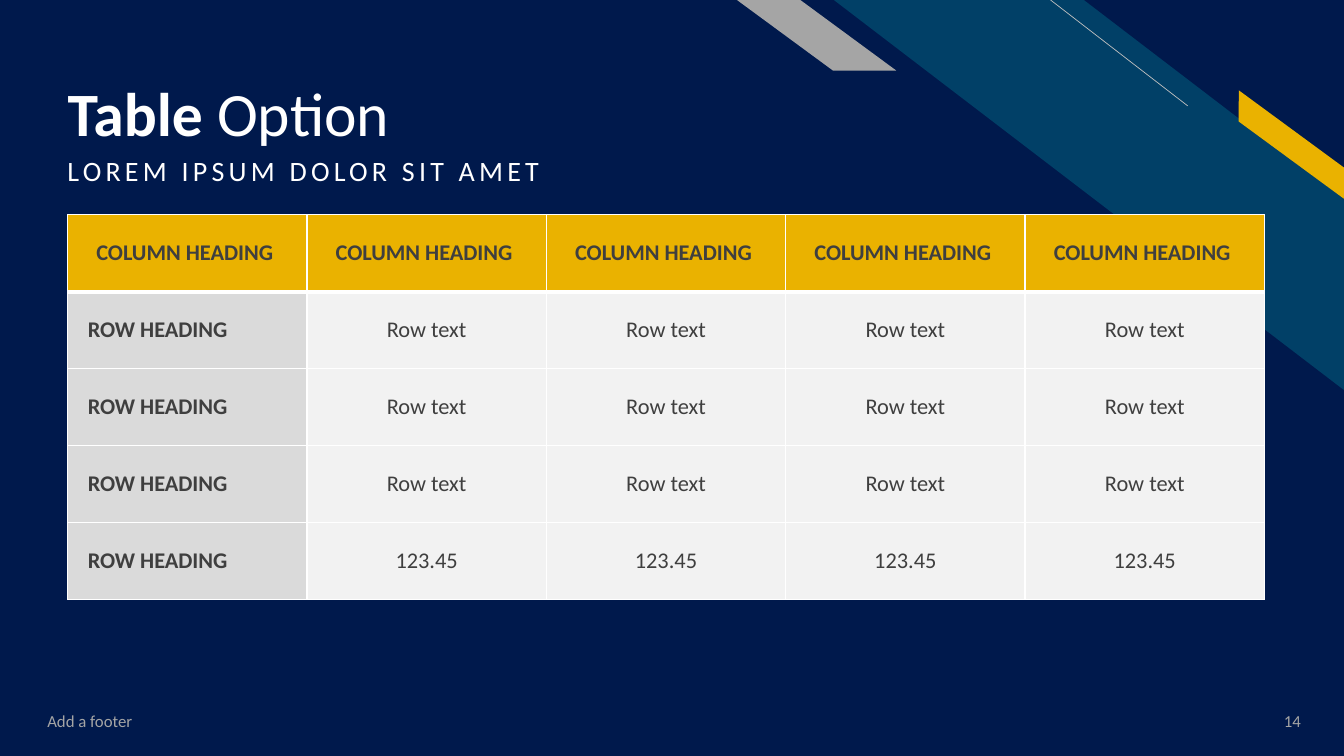
"""Build a dark slide with a title, diagonal accents and a five-column table."""
from lxml import etree
from pptx import Presentation, util as u
from pptx.dml.color import RGBColor
from pptx.enum import shapes, text
from pptx.oxml.ns import qn

COLORS = {
    "navy": "00194C", "teal": "014067", "gold": "EAB200", "grey": "A5A5A5",
    "hairline": "BFBFBF", "white": "FFFFFF", "ink": "3F3F3F",
    "row_head": "DADADA", "row_body": "F2F2F2",
}
COLUMNS, ROWS = 5, 5
LEFT, CENTER, RIGHT = text.PP_ALIGN.LEFT, text.PP_ALIGN.CENTER, text.PP_ALIGN.RIGHT
TOP, MIDDLE, BOTTOM = text.MSO_ANCHOR.TOP, text.MSO_ANCHOR.MIDDLE, text.MSO_ANCHOR.BOTTOM

deck = Presentation()
deck.slide_width, deck.slide_height = u.Inches(13.33), u.Inches(7.5)
slide = deck.slides.add_slide(deck.slide_layouts[5])
slide.background.fill.solid()
slide.background.fill.fore_color.rgb = RGBColor.from_string(COLORS["navy"])


def share(*percents):
    """Turn alternating horizontal and vertical percentages into slide lengths."""
    sides = (deck.slide_width, deck.slide_height)
    return [round(sides[i % 2] * p / 100) for i, p in enumerate(percents)]


def write(paragraph, words, color, align=LEFT, **font):
    """Add one formatted run to a paragraph."""
    paragraph.alignment = align
    run = paragraph.add_run()
    run.text = words
    for key, value in {"name": "Calibri", "bold": False, **font}.items():
        setattr(run.font, key, value)
    run.font.color.rgb = RGBColor.from_string(COLORS[color])
    return run


kinds = shapes.MSO_SHAPE
accents = [
    (kinds.DIAGONAL_STRIPE, (62.04, 0, 37.96, 51.6), 0.51, 0, "teal"),
    (kinds.PARALLELOGRAM, (90.55, 17.47, 11.1, 3.33), 0.72, 36.3, "gold"),
    (kinds.PARALLELOGRAM, (54.84, 0, 11.85, 9.33), 1.36, 0, "grey"),
]
for kind, place, slant, turn, color in accents:
    accent = slide.shapes.add_shape(kind, *share(*place))
    accent.adjustments[0] = slant
    accent.rotation = turn
    accent.element.spPr.xfrm.set("flipH", "1")
    accent.shadow.inherit = False
    accent.fill.solid()
    accent.fill.fore_color.rgb = RGBColor.from_string(COLORS[color])
    accent.line.fill.background()

hairline = slide.shapes.add_connector(
    shapes.MSO_CONNECTOR.STRAIGHT, *share(88.37, 14, 78.17, 0))
hairline.line.width = u.Pt(0.5)
hairline.line.color.rgb = RGBColor.from_string(COLORS["hairline"])
etree.SubElement(hairline.element.spPr, qn("a:effectLst"))

title = slide.shapes.title
title.left, title.top, title.width, title.height = share(4.28, 3.07, 68.34, 16.8)
title_format = {"vertical_anchor": BOTTOM, "word_wrap": True, "margin_bottom": 0,
                "margin_left": u.Inches(0.1), "margin_right": u.Inches(0.1),
                "auto_size": text.MSO_AUTO_SIZE.NONE}
for key, value in title_format.items():
    setattr(title.text_frame, key, value)
heading = title.text_frame.paragraphs[0]
heading.line_spacing = 0.9
for words, bold in (("Table ", True), ("Option", False)):
    write(heading, words, "white", size=u.Pt(44), bold=bold)

captions = [
    ("LOREM IPSUM DOLOR SIT AMET", (4.28, 20.13, 60.47, 8.93), "white", LEFT, TOP, 20),
    ("Add a footer", (2.78, 92.67, 33.76, 5.33), "grey", LEFT, MIDDLE, 12),
    ("14", (91.45, 92.67, 6.08, 5.33), "grey", RIGHT, MIDDLE, 12),
]
for words, place, color, align, anchor, size in captions:
    frame = slide.shapes.add_textbox(*share(*place)).text_frame
    frame.word_wrap, frame.vertical_anchor = True, anchor
    caption = write(frame.paragraphs[0], words, color, align, size=u.Pt(size))
    if words.startswith("LOREM"):
        frame.paragraphs[0].line_spacing = 0.9
        frame.paragraphs[0].space_before = u.Pt(10)
        caption.font._element.set("spc", "300")

grid = slide.shapes.add_table(ROWS, COLUMNS, *share(5.03, 28.4, 89.05, 50.93)).table
grid.horz_banding = False
records = [["COLUMN HEADING "] * COLUMNS]
records += [["ROW HEADING"] + [value] * (COLUMNS - 1)
            for value in ["Row text"] * 3 + ["123.45"]]
for r, record in enumerate(records):
    for c, words in enumerate(record):
        cell = grid.cell(r, c)
        row_head = r > 0 and c == 0
        cell.vertical_anchor = MIDDLE
        cell.margin_left = u.Inches(0.2 if row_head else 0.1)
        write(cell.text_frame.paragraphs[0], words, "ink", LEFT if row_head else CENTER,
              size=u.Pt(16), bold=r == 0 or c == 0)
        properties = cell._tc.get_or_add_tcPr()
        for side in "LRTB":
            thick = (r, side) in ((0, "B"), (1, "T"))
            border = etree.SubElement(properties, qn(f"a:ln{side}"),
                                      w=str(u.Pt(3 if thick else 1)))
            paint = etree.SubElement(border, qn("a:solidFill"))
            etree.SubElement(paint, qn("a:srgbClr"), val=COLORS["white"])
        cell.fill.solid()
        shade = "gold" if r == 0 else "row_head" if c == 0 else "row_body"
        cell.fill.fore_color.rgb = RGBColor.from_string(COLORS[shade])

deck.save("out.pptx")
